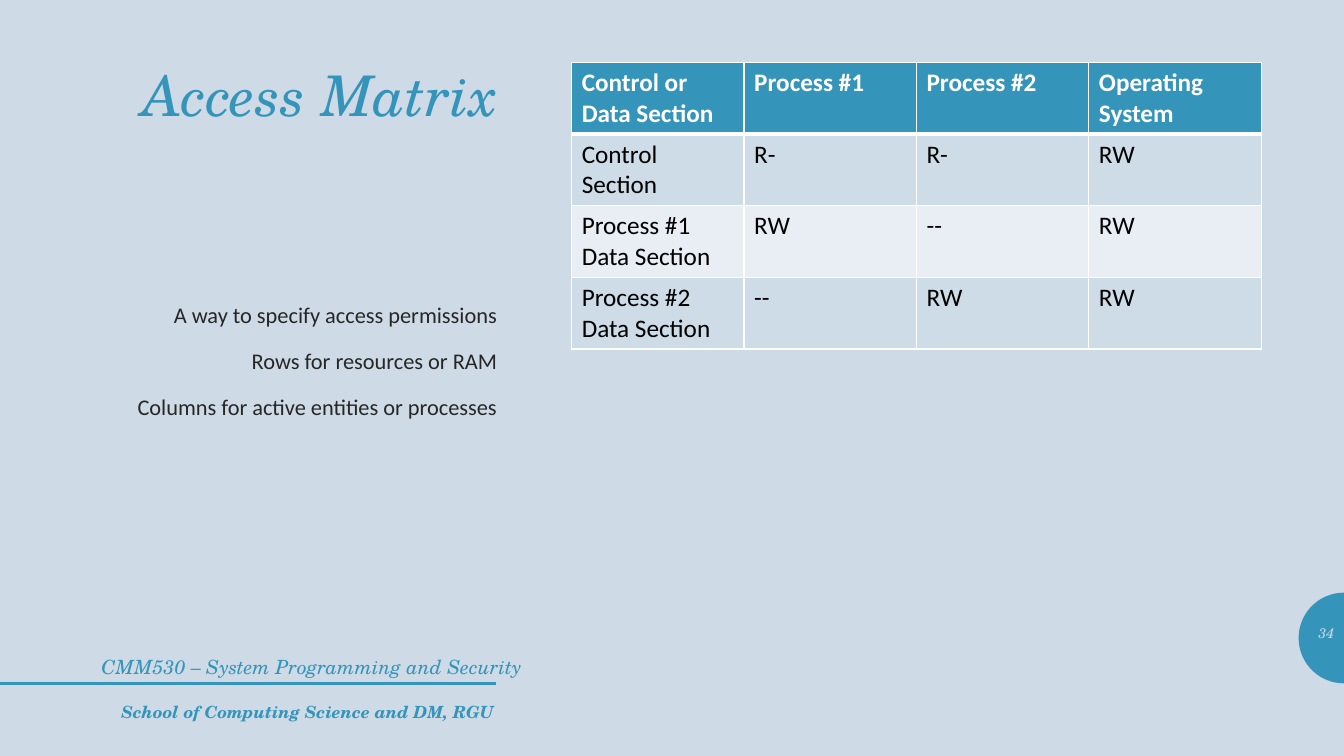
"""Build the Access Matrix slide."""
import math
import lxml.etree
import pptx
import pptx.dml.color
import pptx.enum.shapes
import pptx.enum.text
import pptx.oxml
import pptx.oxml.ns
import pptx.util

RGB = pptx.dml.color.RGBColor
TEAL = RGB(0x34, 0x94, 0xBA)
PALE = RGB(0xCE, 0xDB, 0xE6)
BAND = RGB(0xCE, 0xDC, 0xE7)
LIGHT = RGB(0xE8, 0xEE, 0xF3)
WHITE = RGB(0xFF, 0xFF, 0xFF)
BLACK = RGB(0, 0, 0)
DARK = RGB(0x26, 0x26, 0x26)
SERIF, SANS = "TeX Gyre Schola", "Calibri"
ANCHOR = pptx.enum.text.MSO_ANCHOR
RIGHT = pptx.enum.text.PP_ALIGN.RIGHT
LEFT = pptx.enum.text.PP_ALIGN.LEFT
INCH, PT = pptx.util.Inches, pptx.util.Pt

TITLE = "Access Matrix"
POINTS = [
    "A way to specify access permissions",
    "Rows for resources or RAM",
    "Columns for active entities or processes",
]
MATRIX = [
    ["Control or Data Section", "Process #1", "Process #2", "Operating System"],
    ["Control Section", "R-", "R-", "RW"],
    ["Process #1 Data Section", "RW", "--", "RW"],
    ["Process #2 Data Section", "--", "RW", "RW"],
]
WIDE, HIGH = 13.33, 7.5
EDGE, COL = 0.83, 4.2
RULE = 6.78
DISC = 0.45
GRID = dict(left=5.67, top=0.62, col=1.71, row=0.71)

HEAD = dict(size=PT(40), name=SERIF, italic=True, bold=False)
BODY = dict(size=PT(16), name=SANS)
COURSE = dict(size=PT(14), name=SERIF, italic=True)
SCHOOL = dict(size=PT(12), name=SERIF, italic=True, bold=True)
COUNT = dict(size=PT(10), name=SERIF, italic=True)
LABELS = [
    ([TITLE], (EDGE, 0.61, COL, 2.1), HEAD, TEAL, 0.93, ANCHOR.TOP),
    (POINTS, (EDGE, 2.87, COL, 3.54), BODY, DARK, 1.25, ANCHOR.TOP),
    (["CMM530 – System Programming and Security"],
     (0.38, 6.45, 4.9, 0.4), COURSE, TEAL, 1.0, ANCHOR.TOP),
    (["School of Computing Science and DM, RGU"],
     (EDGE, 6.91, 4.17, 0.4), SCHOOL, TEAL, 1.0, ANCHOR.TOP),
    (["34"], (WIDE - DISC, 6.03, DISC, 0.5), COUNT, PALE, 1.0, ANCHOR.MIDDLE),
]


def style(para, form, color, align):
    """Format one paragraph."""
    para.alignment = align
    for key, value in form.items():
        setattr(para.font, key, value)
    para.font.color.rgb = color


def label(shape, lines, place, form, color, lead, anchor):
    """Place a text shape and fill it with right-aligned lines."""
    for key, value in zip(("left", "top", "width", "height"), place):
        setattr(shape, key, INCH(value))
    frame = shape.text_frame
    frame.text = "\n".join(lines)
    frame.word_wrap = True
    frame.auto_size = pptx.enum.text.MSO_AUTO_SIZE.NONE
    frame.vertical_anchor = anchor
    for spot, para in enumerate(frame.paragraphs):
        para.line_spacing = lead
        para.space_before = PT(9 if spot else 0)
        style(para, form, color, RIGHT)


def border(cell, row):
    """Draw white cell edges, heavier under the header."""
    props = cell._tc.get_or_add_tcPr()
    heavy = {0: "B", 1: "T"}.get(row)
    for side in "LRTB":
        width = PT(3 if side == heavy else 1)
        props.append(pptx.oxml.parse_xml(
            f'<a:ln{side} {pptx.oxml.ns.nsdecls("a")} w="{width}">'
            f'<a:solidFill><a:srgbClr val="{WHITE}"/></a:solidFill></a:ln{side}>'))


def matrix(slide):
    """Add the access table."""
    rows, cols = len(MATRIX), len(MATRIX[0])
    table = slide.shapes.add_table(
        rows, cols, INCH(GRID["left"]), INCH(GRID["top"]),
        INCH(cols * GRID["col"]), INCH(rows * GRID["row"])).table
    for row, texts in enumerate(MATRIX):
        fill = (BAND if row % 2 else LIGHT) if row else TEAL
        form = dict(size=PT(18), name=SANS, bold=row == 0)
        for col, text in enumerate(texts):
            cell = table.cell(row, col)
            cell.text = text
            border(cell, row)
            cell.fill.solid()
            cell.fill.fore_color.rgb = fill
            style(cell.text_frame.paragraphs[0], form, BLACK if row else WHITE, LEFT)


def decor(slide):
    """Add the half disc and the footer rule."""
    steps = 32
    turns = [math.pi * (0.5 + step / steps) for step in range(steps + 1)]
    arc = [(INCH(WIDE + DISC * math.cos(turn)),
            INCH(RULE - DISC + DISC * math.sin(turn))) for turn in turns]
    build = slide.shapes.build_freeform(*arc[0])
    build.add_line_segments(arc[1:], close=True)
    half = build.convert_to_shape()
    half.shadow.inherit = False
    half.fill.solid()
    half.fill.fore_color.rgb = TEAL
    half.line.fill.background()
    rule = slide.shapes.add_connector(
        pptx.enum.shapes.MSO_CONNECTOR.STRAIGHT, 0, INCH(RULE), INCH(4.92), INCH(RULE))
    rule.line.color.rgb = TEAL
    rule.line.width = PT(2)
    lxml.etree.SubElement(rule._element.spPr, pptx.oxml.ns.qn("a:effectLst"))


def main():
    """Assemble and save the slide."""
    deck = pptx.Presentation()
    deck.slide_width, deck.slide_height = INCH(WIDE), INCH(HIGH)
    slide = deck.slides.add_slide(deck.slide_layouts[5])
    slide.background.fill.solid()
    slide.background.fill.fore_color.rgb = PALE
    decor(slide)
    matrix(slide)
    for spot, item in enumerate(LABELS):
        shape = slide.shapes.add_textbox(0, 0, 0, 0) if spot else slide.shapes.title
        label(shape, *item)
    deck.save("out.pptx")


if __name__ == "__main__":
    main()
